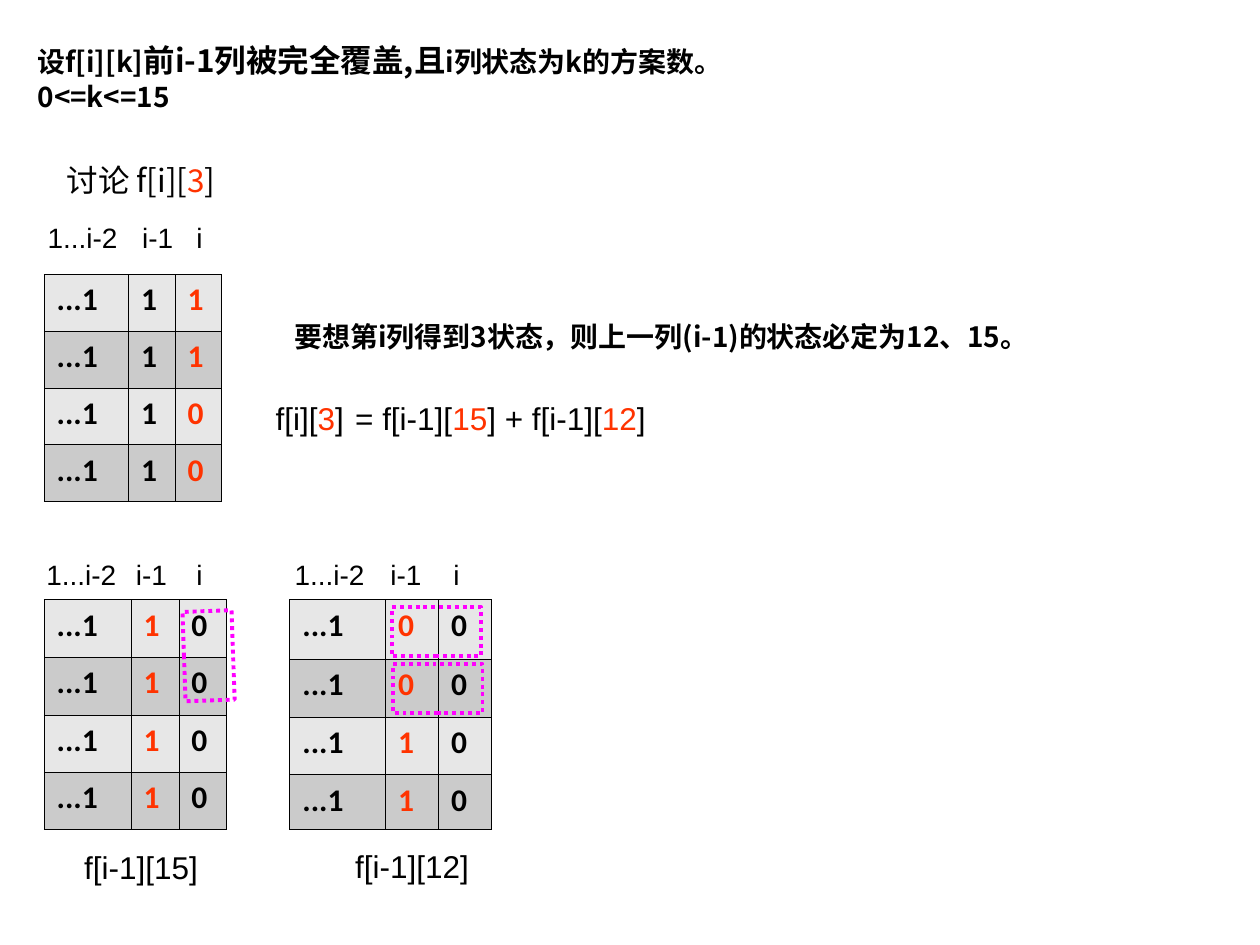
from lxml import etree
from pptx import Presentation
from pptx.dml.color import RGBColor
from pptx.enum.dml import MSO_LINE_DASH_STYLE as Dash
from pptx.enum.shapes import MSO_SHAPE as Shape
from pptx.oxml.ns import qn
from pptx.util import Inches, Pt

CJK, LATIN, TABLE_FONT = "Noto Sans CJK SC", "Arial", "Calibri"
BLACK, RED, MAGENTA = "000000", "FF3300", "FF00FF"
BANDS = ("E7E7E7", "CBCBCB")
BORDER_WIDTH = 0.45


def color(value):
    return RGBColor.from_string(value)


def format_span(span, size, font, ink=BLACK, bold=False):
    span.font.size = Pt(size)
    span.font.name = font
    span.font.bold = bold
    span.font.color.rgb = color(ink)
    if font == CJK:
        east_asian = etree.SubElement(span.font._element, qn("a:ea"))
        east_asian.set("typeface", font)


def add_text(page, box, lines, font=LATIN, size=18, bold=False):
    """Each line is a list of (text, ink, size) spans; ink and size may be left out."""
    frame = page.shapes.add_textbox(*map(Inches, box)).text_frame
    frame.word_wrap = True
    for index, line in enumerate(lines):
        para = frame.add_paragraph() if index else frame.paragraphs[0]
        for text, ink, span_size in ((*part, BLACK, size)[:3] if len(part) == 1
                                     else (*part, size)[:3] for part in line):
            span = para.add_run()
            span.text = text
            format_span(span, span_size, font, ink, bold)


def add_borders(cell):
    properties = cell._tc.get_or_add_tcPr()
    for index, side in enumerate(("a:lnL", "a:lnR", "a:lnT", "a:lnB")):
        line = etree.Element(qn(side), w=str(Pt(BORDER_WIDTH)))
        fill = etree.SubElement(line, qn("a:solidFill"))
        etree.SubElement(fill, qn("a:srgbClr"), val=BLACK)
        properties.insert(index, line)


def add_state_grid(page, left, top, widths, heights, rows, red_column):
    box = (left, top, sum(widths), sum(heights))
    frame = page.shapes.add_table(len(rows), len(widths), *map(Inches, box))
    table = frame.table
    for column, width in zip(table.columns, widths):
        column.width = Inches(width)
    for r, (digits, height) in enumerate(zip(rows, heights)):
        table.rows[r].height = Inches(height)
        for c, text in enumerate(("...1", *digits)):
            cell = table.cell(r, c)
            cell.fill.solid()
            cell.fill.fore_color.rgb = color(BANDS[r % 2])
            add_borders(cell)
            para = cell.text_frame.paragraphs[0]
            para.text = text
            ink = RED if c == red_column else BLACK
            format_span(para.runs[0], 18, TABLE_FONT, ink, True)


def add_column_labels(page, lefts, top):
    for text, left, width in zip(("1...i-2", "i-1", "i"), lefts, (0.85, 0.52, 0.65)):
        add_text(page, (left, top, width, 0.37), [[(text,)]], size=16)


def add_domino(page, left, top, rotation=0):
    domino = page.shapes.add_shape(Shape.RECTANGLE, *map(Inches, (left, top, 0.71, 0.39)))
    domino.shadow.inherit = False
    domino.rotation = rotation
    domino.fill.background()
    domino.line.color.rgb = color(MAGENTA)
    domino.line.width = Pt(2.25)
    domino.line.dash_style = Dash.ROUND_DOT


def add_definition(page):
    add_text(page, (0.2, 0.28, 8.58, 0.67), [
        [("设f[i][k]",), ("前i-1列被完全覆盖,且", BLACK, 18), ("i列状态为k的方案数。",)],
        [("0<=k<=15",)],
    ], CJK, 16, True)
    add_text(page, (0.43, 1.23, 1.57, 0.4),
             [[("讨论 f[i][",), ("3", RED), ("]",)]], CJK)


def add_recurrence(page):
    add_text(page, (2.24, 2.49, 7.32, 0.37),
             [[("要想第i列得到3状态，则上一列(i-1)的状态必定为12、15。",)]], CJK, 16, True)
    add_text(page, (2.09, 3.12, 0.93, 0.4), [[("f[i][",), ("3", RED), ("]",)]])
    add_text(page, (2.72, 3.12, 2.68, 0.4), [[
        ("= f[i-1][",), ("15", RED), ("] + f[i-1][",), ("12", RED), ("]",)]])


def add_target_state(page):
    add_column_labels(page, (0.28, 1.03, 1.46), 1.7)
    add_state_grid(page, 0.35, 2.18, (0.67, 0.37, 0.37), [0.45] * 4,
                   ("11", "11", "10", "10"), 2)


def add_previous_states(page):
    add_column_labels(page, (0.27, 0.98, 1.46), 4.38)
    add_state_grid(page, 0.35, 4.76, (0.69, 0.38, 0.38), (0.46, 0.46, 0.45, 0.45),
                   ["10"] * 4, 1)
    add_text(page, (0.57, 6.68, 1.12, 0.4), [[("f[i-1][15]",)]])

    add_column_labels(page, (2.24, 3, 3.5), 4.38)
    add_state_grid(page, 2.3, 4.76, (0.76, 0.42, 0.42), (0.47, 0.46, 0.46, 0.43),
                   ("00", "00", "10", "10"), 1)
    add_text(page, (2.72, 6.67, 1.25, 0.4), [[("f[i-1][12]",)]])

    add_domino(page, 3.11, 4.82)
    add_domino(page, 1.3, 5.01, 88)
    add_domino(page, 3.12, 5.27)


def main():
    deck = Presentation()
    deck.slide_width, deck.slide_height = Inches(10), Inches(7.5)
    page = deck.slides.add_slide(deck.slide_layouts[6])
    add_definition(page)
    add_target_state(page)
    add_recurrence(page)
    add_previous_states(page)
    deck.save("out.pptx")


if __name__ == "__main__":
    main()
